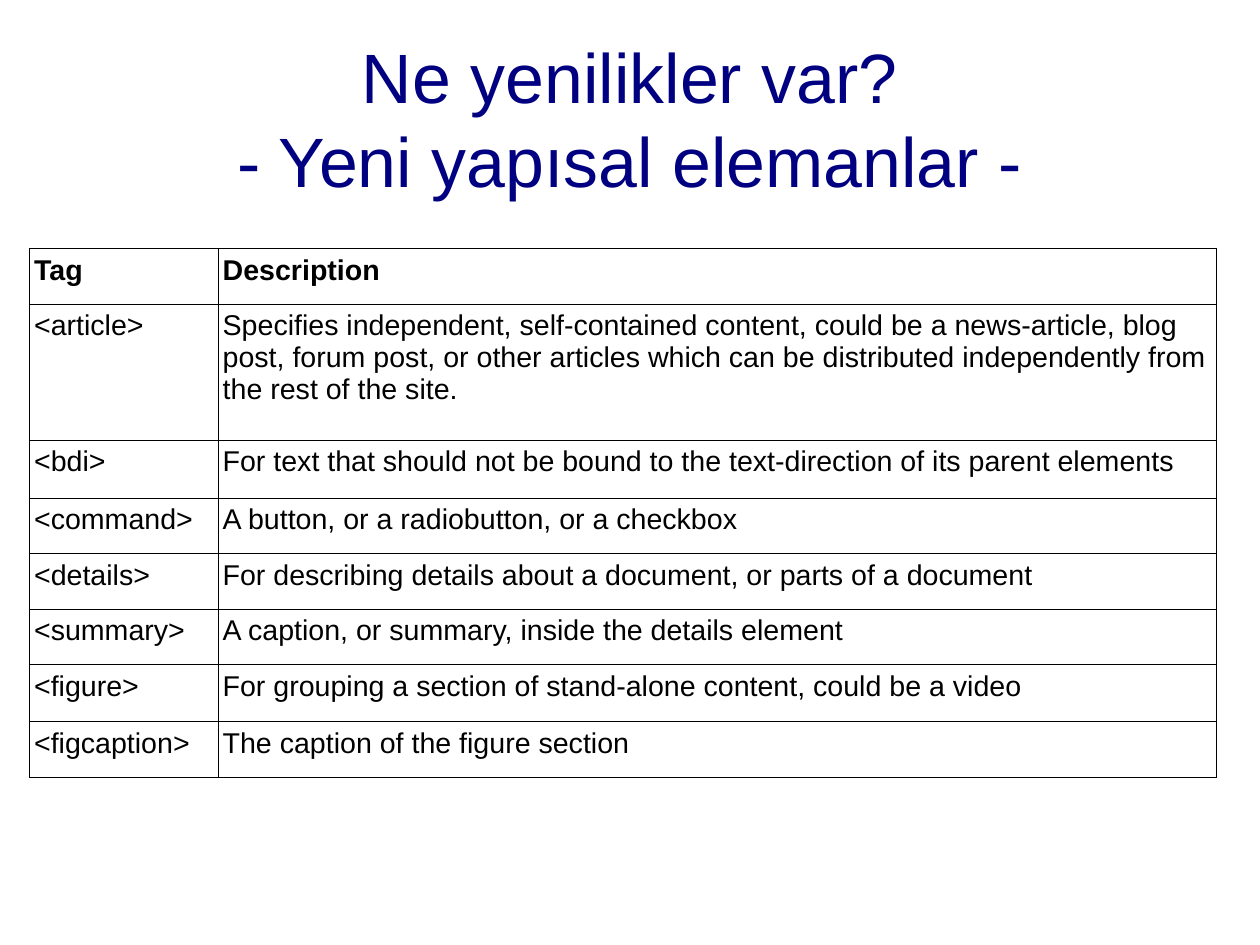
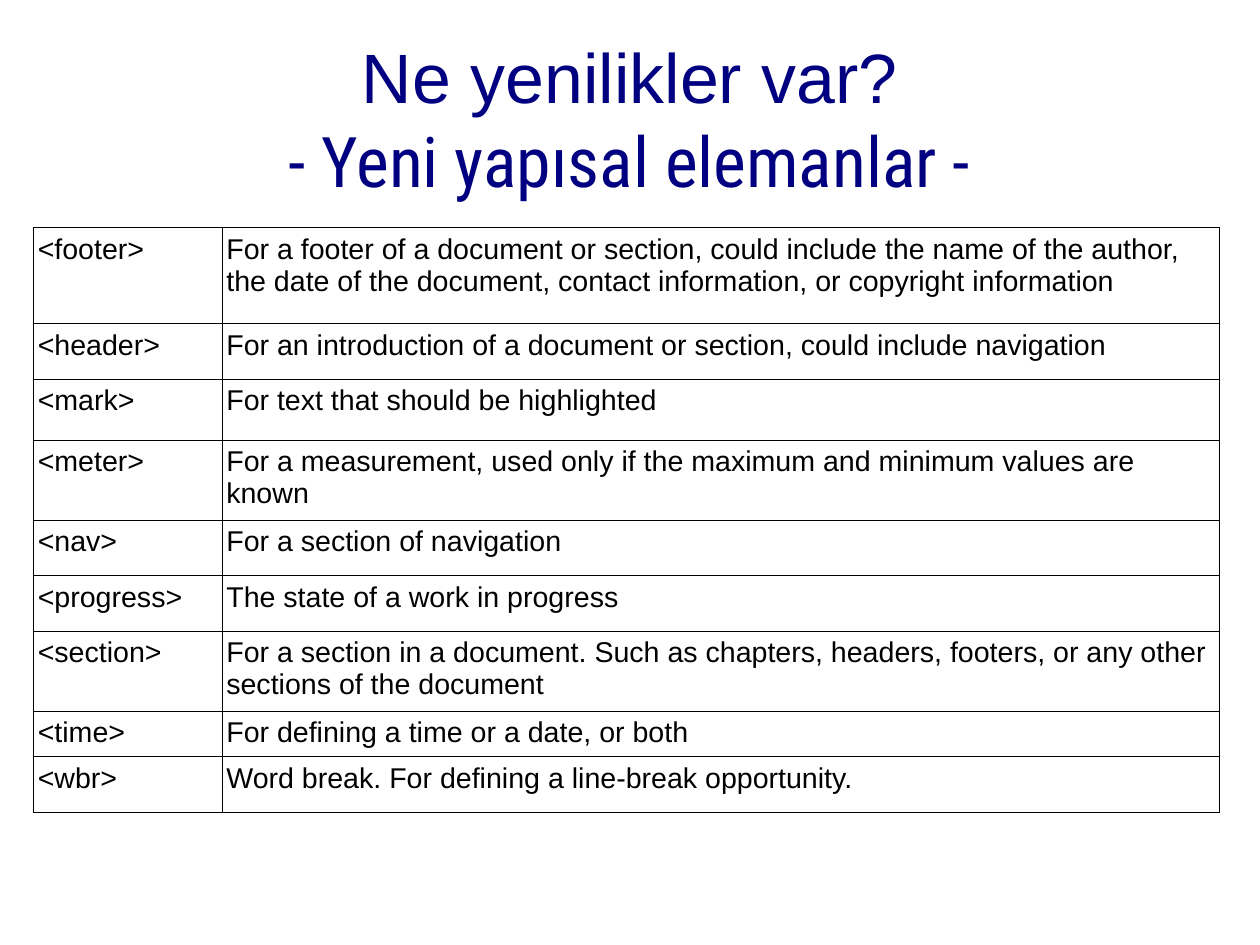
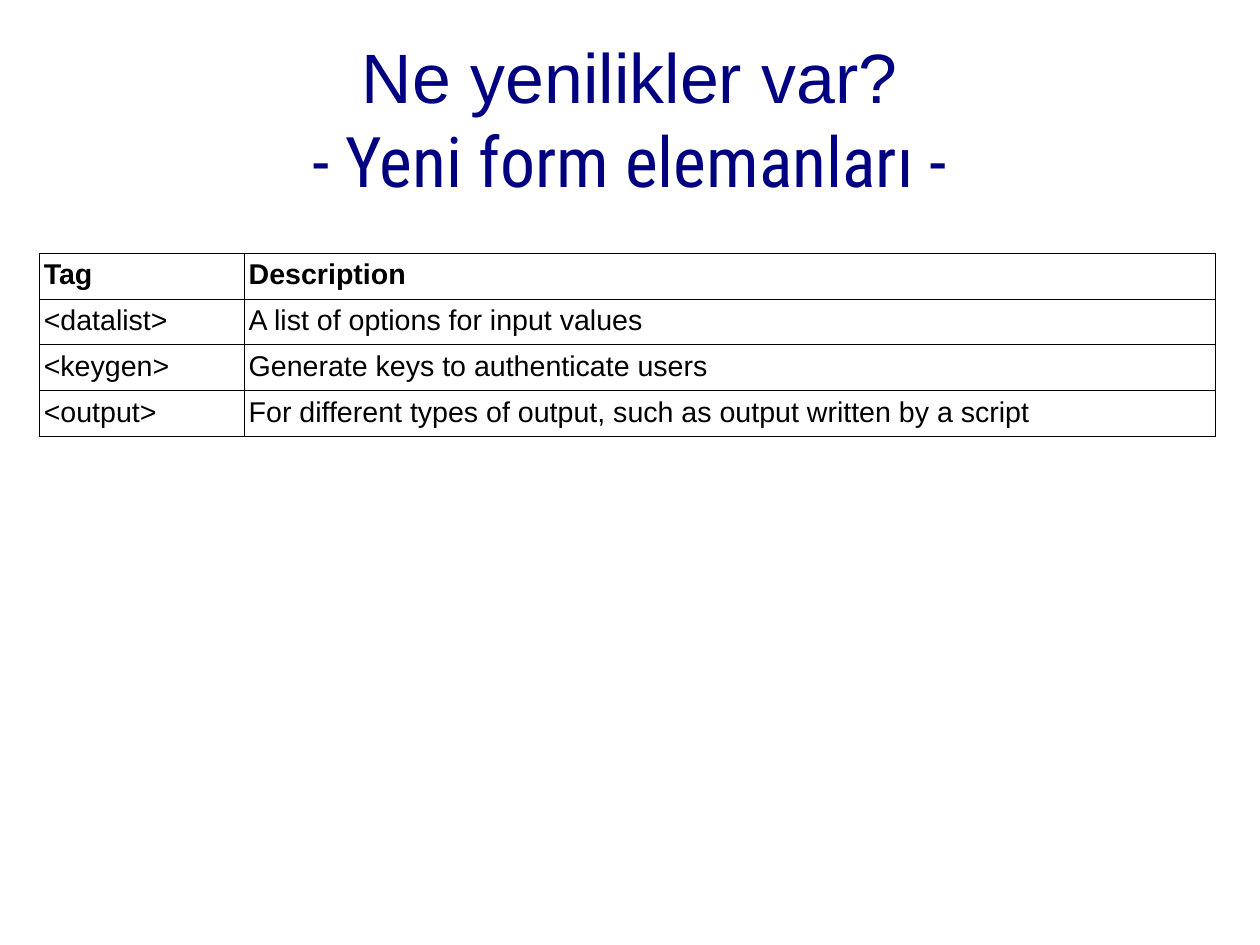
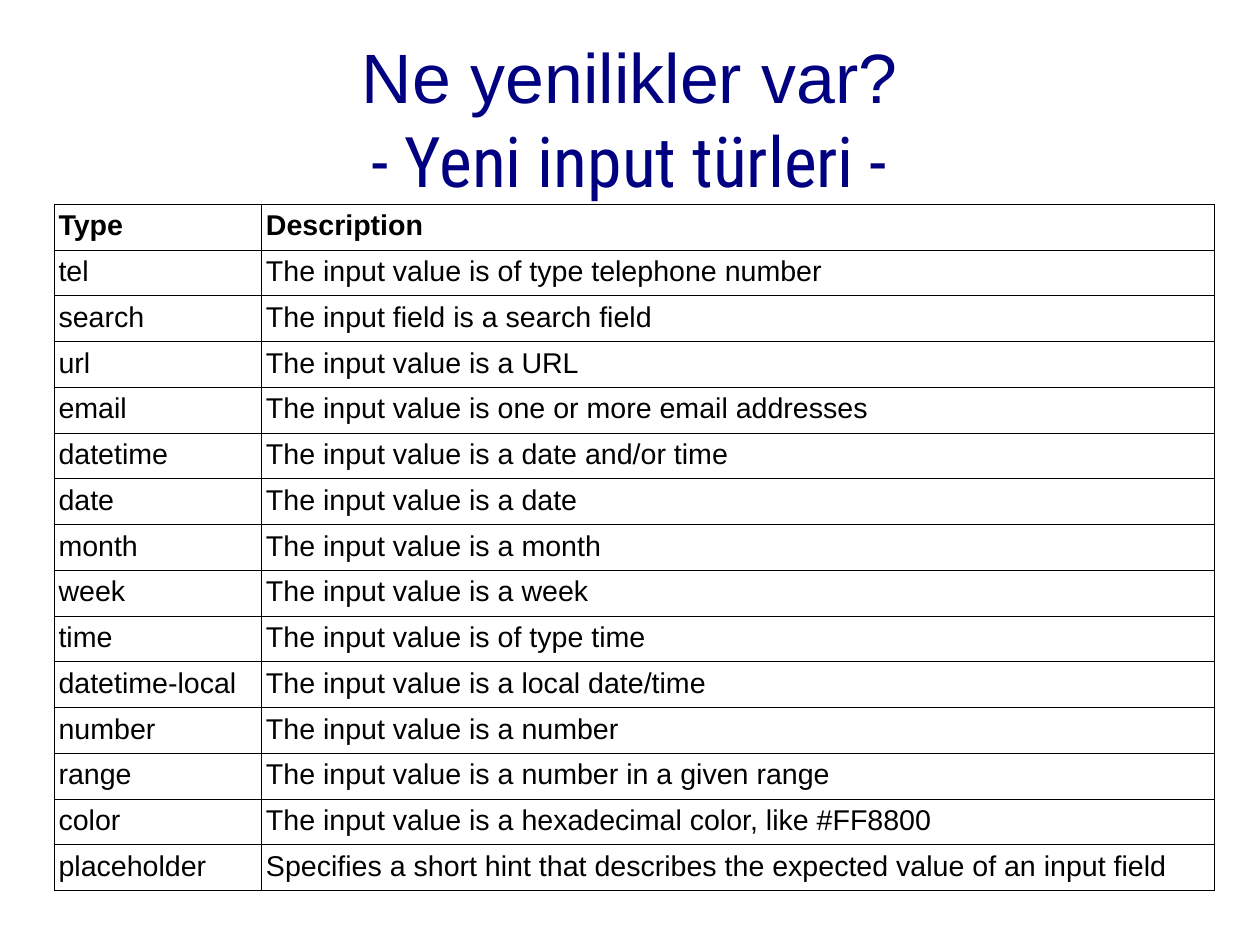
from lxml.etree import SubElement
from pptx import Presentation
from pptx.dml.color import RGBColor
from pptx.enum.text import MSO_ANCHOR, PP_ALIGN
from pptx.oxml.ns import qn
from pptx.util import Pt

NAVY = RGBColor(0x00, 0x00, 0x80)
BLACK = RGBColor(0x00, 0x00, 0x00)
SANS = "Arial"
CONDENSED = "Roboto Condensed"
TITLE = "Ne yenilikler var?"
ROW = 28.8
TALL_ROW = 35


class Deck:
    """Holds the shared style and the current slide."""

    def __init__(self):
        self.prs = Presentation()
        self.prs.slide_width, self.prs.slide_height = Pt(793.7), Pt(595.3)
        self.s = None

    def add_slide(self, subtitle, subtitle_font=CONDENSED):
        self.s = self.prs.slides.add_slide(self.prs.slide_layouts[6])
        self.title(subtitle, subtitle_font)

    def style(self, run, font, size, color, bold=False):
        run.font.name, run.font.size, run.font.bold = font, Pt(size), bold
        run.font.color.rgb = color

    def title(self, subtitle, subtitle_font):
        tf = self.s.shapes.add_textbox(Pt(39.7), Pt(21.7), Pt(714.3), Pt(105)).text_frame
        tf.word_wrap = True
        tf.vertical_anchor = MSO_ANCHOR.MIDDLE
        tf.margin_left = tf.margin_right = tf.margin_top = tf.margin_bottom = 0
        p = tf.paragraphs[0]
        p.text = f"{TITLE}\v- {subtitle} -"
        p.alignment = PP_ALIGN.CENTER
        p.line_spacing = Pt(52.5)
        for r, font in zip(p.runs, (SANS, subtitle_font)):
            self.style(r, font, 44, NAVY)

    def table(self, left, top, widths, rows, heights=None, header=True):
        heights = heights or [ROW] * len(rows)
        table = self.s.shapes.add_table(
            len(rows), len(widths), Pt(left), Pt(top), Pt(sum(widths)), Pt(sum(heights))
        ).table
        table.first_row = header
        table.horz_banding = False
        for column, width in zip(table.columns, widths):
            column.width = Pt(width)
        for i, (row, height) in enumerate(zip(rows, heights)):
            table.rows[i].height = Pt(height)
            for j, text in enumerate(row):
                self.cell(table.cell(i, j), text, header and i == 0)

    def cell(self, cell, text, bold):
        cell.text = text
        cell.margin_left = cell.margin_right = Pt(2.8)
        cell.margin_top = cell.margin_bottom = Pt(3.6)
        self.style(cell.text_frame.paragraphs[0].runs[0], SANS, 18, BLACK, bold)
        self.borders(cell)
        cell.fill.background()

    def borders(self, cell):
        tc_pr = cell._tc.get_or_add_tcPr()
        for side in ("a:lnL", "a:lnR", "a:lnT", "a:lnB"):
            line = SubElement(tc_pr, qn(side), w=str(Pt(0.57)))
            fill = SubElement(line, qn("a:solidFill"))
            SubElement(fill, qn("a:srgbClr"), val=str(BLACK))


def main():
    deck = Deck()

    deck.add_slide("Yeni yapısal elemanlar", SANS)
    deck.table(18.7, 156.7, (118.8, 628.6), [
        ("Tag", "Description"),
        ("<article>", "Specifies independent, self-contained content, could be a "
         "news-article, blog post, forum post, or other articles which can be "
         "distributed independently from the rest of the site."),
        ("<bdi>", "For text that should not be bound to the text-direction of its "
         "parent elements"),
        ("<command>", "A button, or a radiobutton, or a checkbox"),
        ("<details>", "For describing details about a document, or parts of a document"),
        ("<summary>", "A caption, or summary, inside the details element"),
        ("<figure>", "For grouping a section of stand-alone content, could be a video"),
        ("<figcaption>", "The caption of the figure section"),
    ], [TALL_ROW, 85.7, 36.3, TALL_ROW, TALL_ROW, TALL_ROW, 36, TALL_ROW])

    deck.add_slide("Yeni yapısal elemanlar")
    deck.table(21, 143.3, (118.8, 628.6), [
        ("<footer>", "For a footer of a document or section, could include the name of "
         "the author, the date of the document, contact information, or copyright "
         "information"),
        ("<header>", "For an introduction of a document or section, could include "
         "navigation"),
        ("<mark>", "For text that should be highlighted"),
        ("<meter>", "For a measurement, used only if the maximum and minimum values "
         "are known"),
        ("<nav>", "For a section of navigation"),
        ("<progress>", "The state of a work in progress"),
        ("<section>", "For a section in a document. Such as chapters, headers, footers, "
         "or any other sections of the document"),
        ("<time>", "For defining a time or a date, or both"),
        ("<wbr>", "Word break. For defining a line-break opportunity."),
    ], [60.5, TALL_ROW, 38.4, 50.4, TALL_ROW, TALL_ROW, 50.4, ROW, TALL_ROW],
        header=False)

    deck.add_slide("Yeni form elemanları")
    deck.table(24.8, 159.5, (129.1, 611.6), [
        ("Tag", "Description"),
        ("<datalist>", "A list of options for input values"),
        ("<keygen>", "Generate keys to authenticate users"),
        ("<output>", "For different types of output, such as output written by a script"),
    ])

    deck.add_slide("Yeni input türleri")
    deck.table(34.1, 128.6, (130.7, 600.4), [
        ("Type", "Description"),
        ("tel", "The input value is of type telephone number"),
        ("search", "The input field is a search field"),
        ("url", "The input value is a URL"),
        ("email", "The input value is one or more email addresses"),
        ("datetime", "The input value is a date and/or time"),
        ("date", "The input value is a date"),
        ("month", "The input value is a month"),
        ("week", "The input value is a week"),
        ("time", "The input value is of type time"),
        ("datetime-local", "The input value is a local date/time"),
        ("number", "The input value is a number"),
        ("range", "The input value is a number in a given range"),
        ("color", "The input value is a hexadecimal color, like #FF8800"),
        ("placeholder", "Specifies a short hint that describes the expected value of "
         "an input field"),
    ])

    deck.prs.save("out.pptx")


if __name__ == "__main__":
    main()
